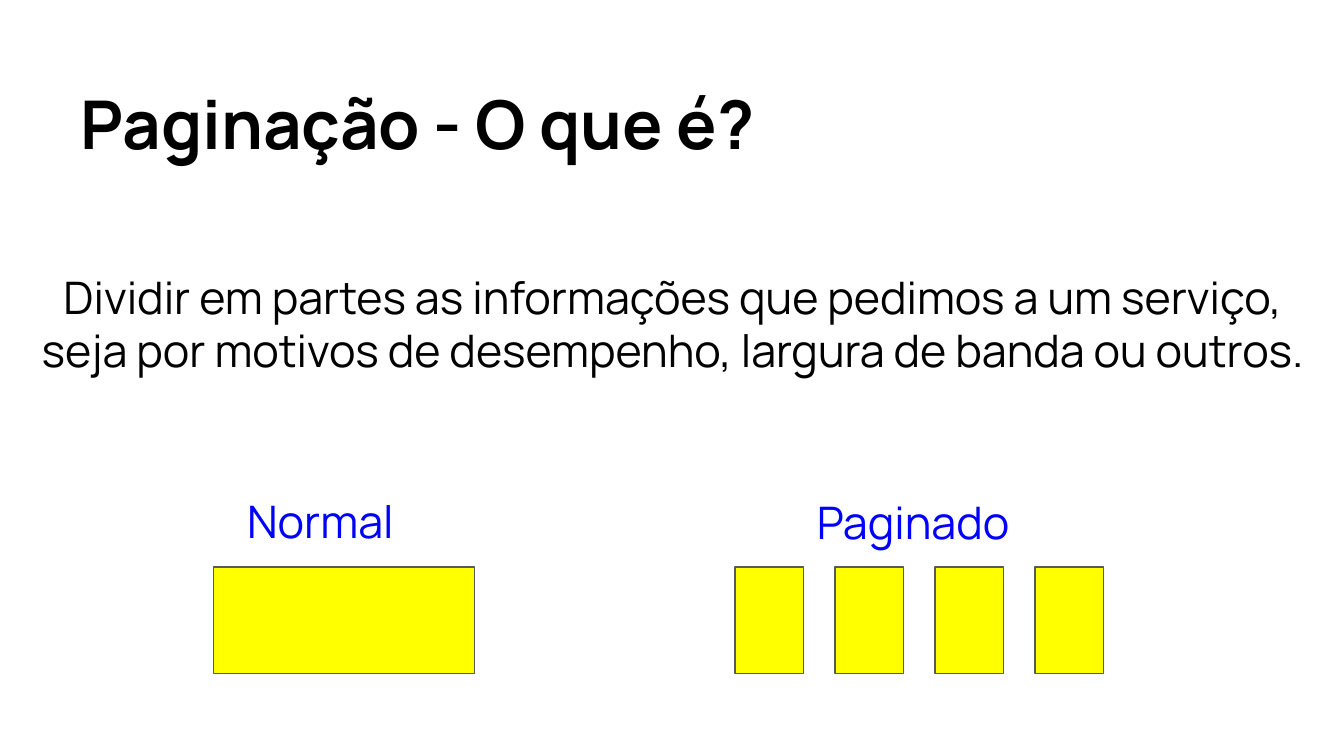
from lxml import etree
from pptx import Presentation
from pptx.dml.color import RGBColor
from pptx.enum.shapes import MSO_SHAPE
from pptx.enum.text import MSO_ANCHOR, MSO_AUTO_SIZE, PP_ALIGN
from pptx.oxml.ns import qn
from pptx.util import Cm, Pt

RECT = MSO_SHAPE.RECTANGLE
TOP, MIDDLE = MSO_ANCHOR.TOP, MSO_ANCHOR.MIDDLE
LEFT, CENTER = PP_ALIGN.LEFT, PP_ALIGN.CENTER
NO_FIT = MSO_AUTO_SIZE.NONE

BLACK = RGBColor(0x00, 0x00, 0x00)
BLUE = RGBColor(0x00, 0x00, 0xFF)
YELLOW = RGBColor(0xFF, 0xFF, 0x00)
GRAY = RGBColor(0x59, 0x59, 0x59)
FONT = "Manrope"
PAD = 0.25

# Block row, in cm
ROW_TOP, ROW_HIGH = 10.72, 2.01
PAGES, PAGE_LEFT, PAGE_WIDE, PAGE_STEP = 4, 13.89, 1.3, 1.89


def place(shape, left, top, width, height):
    shape.left, shape.top = Cm(left), Cm(top)
    shape.width, shape.height = Cm(width), Cm(height)


def write(shape, text, size, color, align=LEFT, anchor=TOP, bold=False, head=PAD):
    frame = shape.text_frame
    frame.text = text
    frame.word_wrap = True
    frame.auto_size = NO_FIT
    frame.vertical_anchor = anchor
    frame.margin_left = frame.margin_right = frame.margin_bottom = Cm(PAD)
    frame.margin_top = Cm(head)
    line = frame.paragraphs[0]
    line.alignment = align
    line.space_before = Pt(0)
    line.font.name = FONT
    line.font.size = Pt(size)
    line.font.bold = bold
    line.font.color.rgb = color


def clear_bullet(shape):
    props = shape.text_frame.paragraphs[0]._p.get_or_add_pPr()
    props.set("marL", "0")
    props.set("indent", "0")
    etree.SubElement(props, qn("a:buNone")) if props.find(qn("a:defRPr")) is None \
        else props.find(qn("a:defRPr")).addprevious(etree.Element(qn("a:buNone")))


def add_label(slide, text, left, top, width):
    box = slide.shapes.add_textbox(Cm(left), Cm(top), Cm(width), Cm(1.75))
    write(box, text, 24, BLUE, anchor=MIDDLE)


def add_block(slide, left, width):
    block = slide.shapes.add_shape(RECT, Cm(left), Cm(ROW_TOP), Cm(width), Cm(ROW_HIGH))
    block.shadow.inherit = False
    block.fill.solid()
    block.fill.fore_color.rgb = YELLOW
    block.line.color.rgb = GRAY
    block.line.width = Pt(0.75)


def main():
    deck = Presentation()
    deck.slide_width, deck.slide_height = Cm(25.4), Cm(14.29)
    slide = deck.slides.add_slide(deck.slide_layouts[1])
    title, body = slide.placeholders

    # Title and definition
    place(title, 1.27, 1.3, 22.45, 1.96)
    write(title, "Paginação - O que é?", 36, BLACK, bold=True)
    place(body, 0.46, 3.81, 24.51, 5.59)
    write(body, "Dividir em partes as informações que pedimos a um serviço, "
          "seja por motivos de desempenho, largura de banda ou outros.",
          24, BLACK, align=CENTER, head=1.28)
    clear_bullet(body)

    # One whole block
    add_label(slide, "Normal", 4.42, 8.97, 3.91)
    add_block(slide, 4.04, 4.93)

    # The same block split into pages
    add_label(slide, "Paginado", 15.19, 8.99, 5.05)
    for page in range(PAGES):
        add_block(slide, PAGE_LEFT + page * PAGE_STEP, PAGE_WIDE)

    deck.save("out.pptx")


if __name__ == "__main__":
    main()
